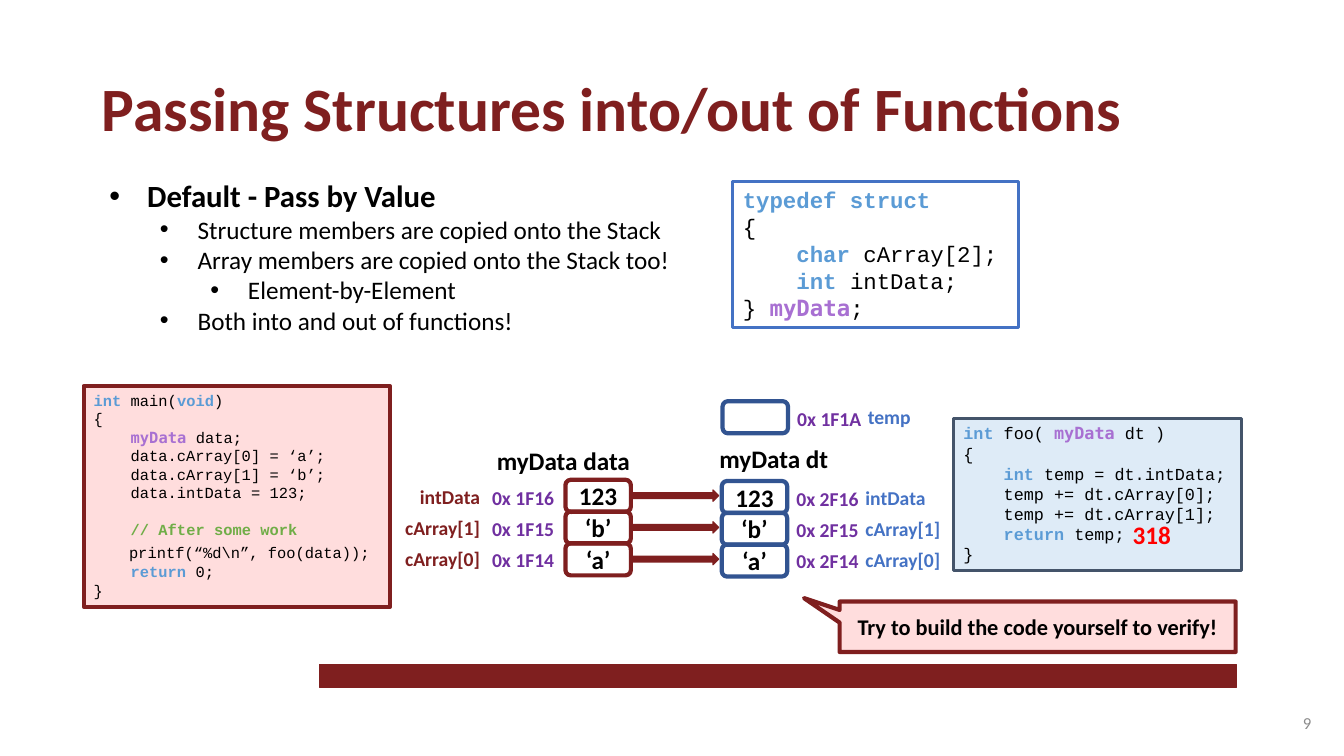
"""Builds the slide on passing structures by value in C."""
import pptx
import pptx.dml.color
import pptx.enum.shapes
import pptx.enum.text
import pptx.util
from lxml import etree
from pptx.oxml.ns import qn

Cm = pptx.util.Cm
Pt = pptx.util.Pt
KIND = pptx.enum.shapes.MSO_SHAPE
ALIGN = pptx.enum.text.PP_ALIGN
ANCHOR = pptx.enum.text.MSO_ANCHOR

COLORS = {
    "maroon": "7F1F1F", "black": "000000", "white": "FFFFFF", "grey": "8C8C8C",
    "blue": "4472C4", "navy": "325491", "slate": "44546A", "pink": "FFDDDD",
    "pale": "DEEBF7", "purple": "7030A0", "red": "FF0000",
    "key": "5B9BD5", "type": "A870D2", "note": "70AD47",
}
MONO = "Courier New"
TITLE = "Passing Structures into/out of Functions"
POINTS = [
    (0, "Default - Pass by Value"),
    (1, "Structure members are copied onto the Stack"),
    (1, "Array members are copied onto the Stack too!"),
    (2, "Element-by-Element"),
    (1, "Both into and out of functions!"),
]
STRUCT = [
    [("typedef struct", "key")],
    ["{"],
    ["    ", ("char ", "key"), "cArray[2];"],
    ["    ", ("int ", "key"), "intData;"],
    ["} ", ("myData", "type"), ";"],
]
MAIN = [
    [("int", "key"), " main(", ("void", "key"), ")"],
    ["{"],
    ["    ", ("myData", "type"), " data;"],
    ["    data.cArray[0] = ‘a’;"],
    ["    data.cArray[1] = ‘b’;"],
    ["    data.intData = 123;"],
    [""],
    ["    ", ("// After some work", "note")],
    [("   ", "wide"), "printf(“%d\\n”, foo(data));"],
    ["    ", ("return", "key"), " 0;"],
    ["}"],
]
FOO = [
    [("int ", "key"), "foo( ", ("myData ", "type"), "dt )"],
    ["{"],
    ["    ", ("int", "key"), " temp = dt.intData;"],
    ["    temp += dt.cArray[0];"],
    ["    temp += dt.cArray[1];"],
    ["    ", ("return", "key"), " temp;"],
    ["}"],
]
CODE = [
    (STRUCT, (18.47, 4.57, 7.19, 3.68), 16, "white", "blue", 2.25),
    (MAIN, (2.11, 9.73, 7.72, 5.56), 11, "pink", "maroon", 3),
    (FOO, (24.03, 10.54, 7.26, 3.84), 12, "pale", "slate", 2.25),
]
FIELDS = [("intData", "123", "16"), ("cArray[1]", "‘b’", "15"), ("cArray[0]", "‘a’", "14")]
STACKS = [
    {"head": "myData data", "spot": (12.27, 11.1), "base": "0x 1F", "top": 12.09,
     "cell": 14.25, "addr": 12.15, "name": 9.75, "side": ALIGN.RIGHT,
     "edge": "maroon", "ink": "maroon"},
    {"head": "myData dt", "spot": (17.88, 11.05), "base": "0x 2F", "top": 12.12,
     "cell": 18.19, "addr": 19.82, "name": 21.56, "side": ALIGN.LEFT,
     "edge": "navy", "ink": "blue"},
]
STEP = 0.8
ROW = 0.78


def color(name):
    return pptx.dml.color.RGBColor.from_string(COLORS[name])


def write(frame, lines, size=14, ink="black", bold=True, font="Calibri",
          align=ALIGN.LEFT, anchor=ANCHOR.TOP):
    """Fill a text frame; each line is a string or a list of runs."""
    frame.word_wrap = True
    frame.vertical_anchor = anchor
    for i, line in enumerate(lines):
        para = frame.paragraphs[0] if i == 0 else frame.add_paragraph()
        para.alignment = align
        para.font.size = Pt(size)
        para.font.name = font
        for part in [line] if isinstance(line, str) else line:
            text, role = (part, None) if isinstance(part, str) else part
            run = para.add_run()
            run.text = text
            run.font.size = Pt(14 if role == "wide" else size)
            run.font.name = "DejaVu Sans Mono" if role == "type" else font
            run.font.bold = bold or role in ("key", "type", "note")
            run.font.color.rgb = color(role if role in COLORS else ink)


def label(slide, text, box, **style):
    frame = slide.shapes.add_textbox(*map(Cm, box)).text_frame
    write(frame, [text], **style)


def shape(slide, kind, box, fill, edge, width):
    item = slide.shapes.add_shape(kind, *map(Cm, box))
    item.shadow.inherit = False
    if fill:
        item.fill.solid()
        item.fill.fore_color.rgb = color(fill)
    else:
        item.fill.background()
    item.line.color.rgb = color(edge)
    item.line.width = Pt(width)
    return item


def cell(slide, left, top, edge, text=None):
    item = shape(slide, KIND.ROUNDED_RECTANGLE, (left, top, 1.65, 0.81), None, edge, 3)
    if text:
        write(item.text_frame, [text], size=18, align=ALIGN.CENTER, anchor=ANCHOR.MIDDLE)


def bullets(slide):
    frame = slide.shapes.add_textbox(Cm(2.51), Cm(4.34), Cm(28.04), Cm(4.27)).text_frame
    write(frame, [text for _, text in POINTS], size=18, bold=False)
    for para, (level, _) in zip(frame.paragraphs, POINTS):
        para.level = level
        props = para._p.get_or_add_pPr()
        props.set("marL", str(Cm(0.95 + 1.27 * level)))
        props.set("indent", str(-Cm(0.95)))
        etree.SubElement(props, qn("a:buFont")).set("typeface", "Arial")
        etree.SubElement(props, qn("a:buChar")).set("char", "•")
    first = frame.paragraphs[0].runs[0].font
    first.size = Pt(22)
    first.bold = True


def stack(slide, data):
    label(slide, data["head"], (*data["spot"], 4.47, 1.02), size=18)
    for i, (name, value, tail) in enumerate(FIELDS):
        top = data["top"] + i * ROW
        cell(slide, data["cell"], data["top"] + i * STEP, data["edge"], value)
        label(slide, data["base"] + tail, (data["addr"], top + 0.02, 2.67, 0.86), ink="purple")
        label(slide, name, (data["name"], top, 2.6, 0.86), ink=data["ink"], align=data["side"])


def main():
    deck = pptx.Presentation()
    deck.slide_width, deck.slide_height = Cm(33.87), Cm(19.05)
    slide = deck.slides.add_slide(deck.slide_layouts[5])
    shape(slide, KIND.RECTANGLE, (8.05, 16.74, 23.11, 0.58), "maroon", "maroon", 1)

    title = slide.shapes.title
    title.left, title.top, title.width, title.height = map(Cm, (2.31, 1.63, 26.47, 2.13))
    write(title.text_frame, [TITLE], size=44, ink="maroon")
    title.text_frame.word_wrap = False
    title.text_frame.auto_size = pptx.enum.text.MSO_AUTO_SIZE.NONE

    bullets(slide)
    label(slide, "9", (25.68, 17.7, 7.62, 1.02), size=12, ink="grey", bold=False,
          align=ALIGN.RIGHT, anchor=ANCHOR.MIDDLE)

    for lines, box, size, fill, edge, width in CODE:
        item = shape(slide, KIND.RECTANGLE, box, fill, edge, width)
        write(item.text_frame, lines, size=size, bold=False, font=MONO)

    for data in STACKS:
        stack(slide, data)
    cell(slide, 18.21, 10.11, "navy")
    label(slide, "0x 1F1A", (19.84, 10.13, 2.67, 0.86), ink="purple")
    label(slide, "temp", (21.62, 10.08, 2.13, 0.86), ink="blue")

    for i in range(len(FIELDS)):
        box = (15.9, 12.35 + i * STEP, 2.21, 0.28)
        shape(slide, KIND.RIGHT_ARROW, box, "maroon", "maroon", 1)

    label(slide, "318", (28.27, 12.95, 1.52, 1.02), size=18, ink="red", align=ALIGN.CENTER)
    call = shape(slide, KIND.RECTANGULAR_CALLOUT, (21.16, 15.16, 9.98, 1.27), "pink", "maroon", 3)
    call.adjustments[0], call.adjustments[1] = -0.59, -0.57
    write(call.text_frame, ["Try to build the code yourself to verify!"], size=16,
          align=ALIGN.CENTER, anchor=ANCHOR.MIDDLE)
    deck.save("out.pptx")


if __name__ == "__main__":
    main()
